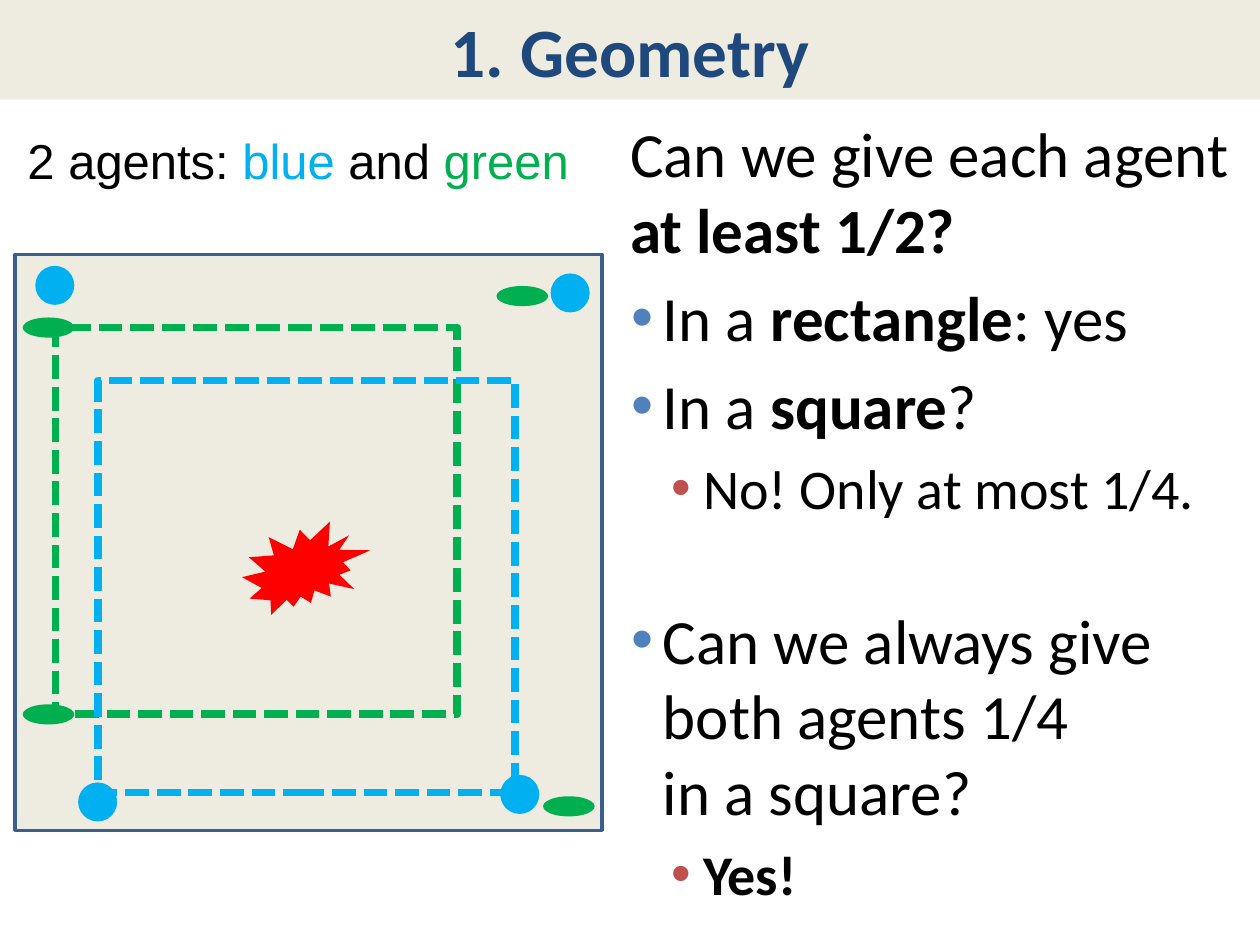
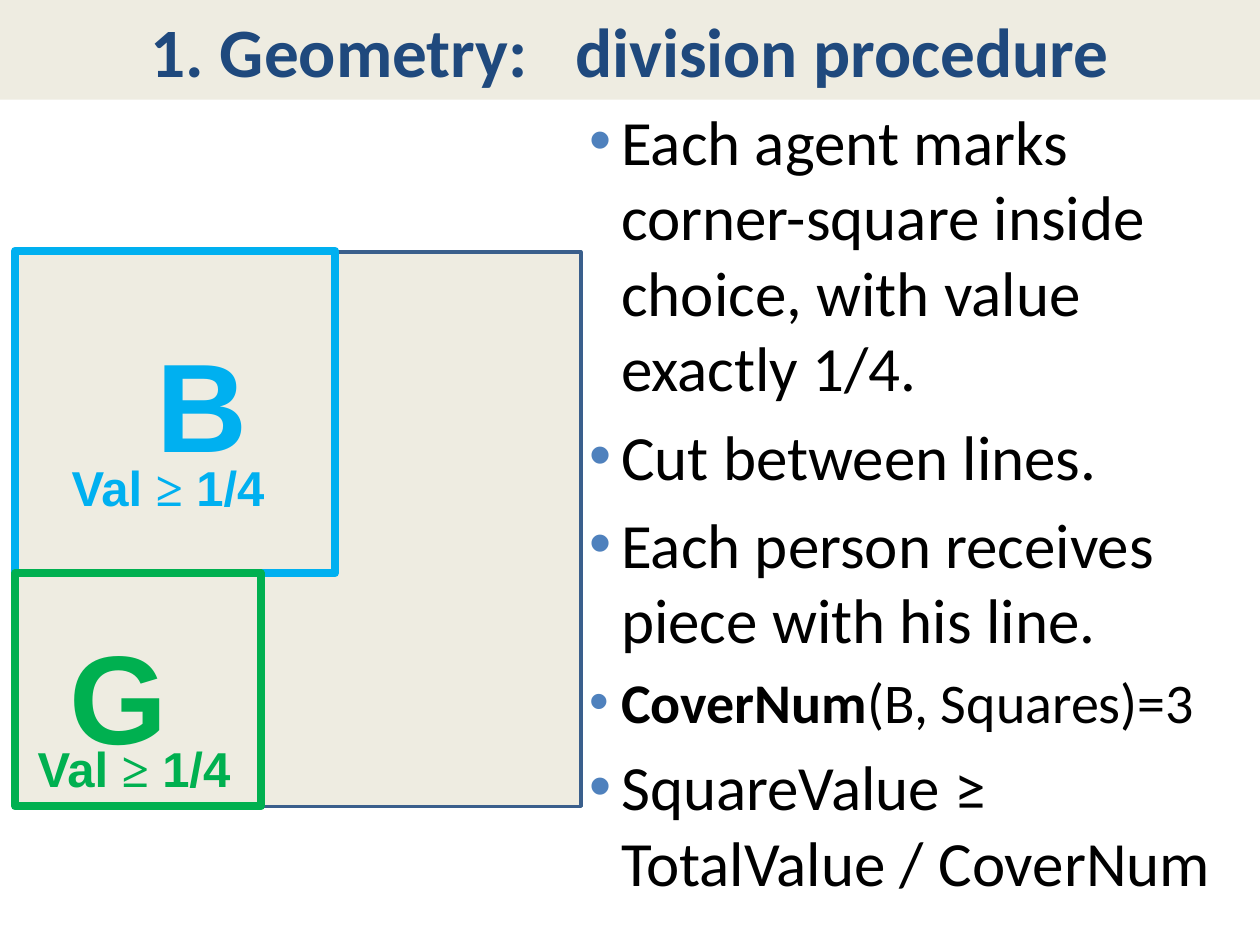
from lxml import etree
from pptx import Presentation
from pptx.dml.color import RGBColor
from pptx.enum import dml, shapes, text
from pptx.oxml import ns
from pptx.util import Inches, Pt

COLORS = {
    "band": "EEECE1",
    "title": "1F497D",
    "outline": "3A5F8C",
    "text": "000000",
    "bullet": "4F81BD",
    "sub_bullet": "C0504D",
    "blue": "00B0F0",
    "green": "00B050",
    "red": "FF0000",
}
BODY_FONT = "Calibri"
LABEL_FONT = "Arial"
SYMBOL_FONT = "Times New Roman"
RECTANGLE = shapes.MSO_SHAPE.RECTANGLE
OVAL = shapes.MSO_SHAPE.OVAL
MARKER_SIZES = {"blue": (0.31, 0.31), "green": (0.41, 0.16)}


def rgb(name):
    return RGBColor.from_string(COLORS[name])


def format_run(run, size, color, font=BODY_FONT, bold=False):
    run.font.size = Pt(size)
    run.font.name = font
    run.font.bold = bold
    run.font.color.rgb = rgb(color)


def place(shape, box):
    shape.left, shape.top, shape.width, shape.height = map(Inches, box)


def add_slide(presentation, *title_parts):
    """Add a slide with the title band; title parts stand a wide gap apart."""
    slide = presentation.slides.add_slide(presentation.slide_layouts[1])
    title = slide.shapes.title
    place(title, (0, 0, 10, 0.79))
    title.fill.solid()
    title.fill.fore_color.rgb = rgb("band")
    frame = title.text_frame
    frame.auto_size = text.MSO_AUTO_SIZE.NONE
    frame.vertical_anchor = text.MSO_ANCHOR.MIDDLE
    paragraph = frame.paragraphs[0]
    paragraph.alignment = text.PP_ALIGN.CENTER
    for index, part in enumerate(title_parts):
        if index:
            gap = paragraph.add_run()
            gap.text = " "
            format_run(gap, 39.6, "title", bold=True)
            gap._r.get_or_add_rPr().set("spc", "1800")
        run = paragraph.add_run()
        run.text = part
        format_run(run, 39.6, "title", bold=True)
    return slide


def set_bullet(paragraph, margin, indent, color=None):
    properties = paragraph._p.get_or_add_pPr()
    properties.set("marL", str(Inches(margin)))
    properties.set("indent", str(Inches(indent)))
    if color is None:
        etree.SubElement(properties, ns.qn("a:buNone"))
        return
    bullet_color = etree.SubElement(properties, ns.qn("a:buClr"))
    etree.SubElement(bullet_color, ns.qn("a:srgbClr"), val=COLORS[color])
    etree.SubElement(properties, ns.qn("a:buChar"), char="•")


def add_marked_text(paragraph, marked, size):
    """Write text in which *stars* enclose bold words and \\n breaks a line."""
    for index, piece in enumerate(marked.split("*")):
        for line_number, line in enumerate(piece.split("\n")):
            if line_number:
                paragraph.add_line_break()
            if line:
                run = paragraph.add_run()
                run.text = line
                format_run(run, size, "text", bold=index % 2 == 1)


def fill_body(slide, box, items):
    """Fill the body with (kind, size, marked text) items."""
    bullets = {
        "plain": (0.12, 0),
        "point": (0.38, -0.25, "bullet"),
        "sub": (0.7, -0.25, "sub_bullet"),
    }
    body = slide.placeholders[1]
    place(body, box)
    frame = body.text_frame
    frame.auto_size = text.MSO_AUTO_SIZE.NONE
    frame.word_wrap = True
    for index, (kind, size, marked) in enumerate(items):
        paragraph = frame.paragraphs[0] if index == 0 else frame.add_paragraph()
        paragraph.level = 1 if kind == "sub" else 0
        set_bullet(paragraph, *bullets[kind])
        if index == 0:
            paragraph.space_before = Pt(0)
        add_marked_text(paragraph, marked, size)
    return frame


def add_figure(slide, kind, box, fill=None, line=None, width=2, dashed=False):
    shape = slide.shapes.add_shape(kind, *map(Inches, box))
    shape.shadow.inherit = False
    if fill:
        shape.fill.solid()
        shape.fill.fore_color.rgb = rgb(fill)
    else:
        shape.fill.background()
    if line:
        shape.line.color.rgb = rgb(line)
        shape.line.width = Pt(width)
        if dashed:
            shape.line.dash_style = dml.MSO_LINE.SQUARE_DOT
    else:
        shape.line.fill.background()


def add_marker(slide, agent, left, top):
    add_figure(slide, OVAL, (left, top, *MARKER_SIZES[agent]), fill=agent)


def add_label(slide, box, pieces, size=28, bold=False, wrap=False):
    """Add a text box of (text, color, font) pieces."""
    frame = slide.shapes.add_textbox(*map(Inches, box)).text_frame
    frame.word_wrap = wrap
    frame.auto_size = text.MSO_AUTO_SIZE.SHAPE_TO_FIT_TEXT
    paragraph = frame.paragraphs[0]
    paragraph.line_spacing = 0.93
    for words, color, font in pieces:
        run = paragraph.add_run()
        run.text = words
        format_run(run, size, color, font, bold)


def add_piece(slide, agent, square, letter_box, value_box):
    """Draw an agent's square with its letter and its value."""
    add_figure(slide, RECTANGLE, square, line=agent, width=4.5)
    add_label(slide, letter_box, [(agent[0].upper(), agent, LABEL_FONT)], 72, True)
    value = [("Val ", agent, LABEL_FONT), ("≥", agent, SYMBOL_FONT),
             (" 1/4", agent, LABEL_FONT)]
    add_label(slide, value_box, value, bold=True, wrap=True)


def build_geometry(presentation):
    slide = add_slide(presentation, "1. Geometry")
    frame = fill_body(slide, (4.78, 0.86, 5.1, 6.52), [
        ("plain", 36, "Can we give each agent *at least 1/2?*"),
        ("point", 36, "In a *rectangle*: yes"),
        ("point", 36, "In a *square*?"),
        ("sub", 32, "No! Only at most 1/4."),
        ("point", 36, "Can we always give both agents 1/4\nin a square?"),
        ("sub", 32, "*Yes!*"),
    ])
    frame.paragraphs[4].space_before = Pt(46)

    add_figure(slide, RECTANGLE, (0.12, 2.02, 4.66, 4.57), "band", "outline")
    for agent, box in (("green", (0.44, 2.6, 3.19, 3.07)),
                       ("blue", (0.78, 3.02, 3.31, 3.27))):
        add_figure(slide, RECTANGLE, box, line=agent, width=4.5, dashed=True)
    add_figure(slide, shapes.MSO_SHAPE.EXPLOSION2, (1.92, 4.14, 1.02, 0.74), "red")
    markers = {
        "blue": [(4.37, 2.17), (0.28, 2.11), (3.97, 6.15), (0.62, 6.21)],
        "green": [(3.94, 2.27), (0.18, 2.52), (4.31, 6.32), (0.18, 5.59)],
    }
    for agent, corners in markers.items():
        for left, top in corners:
            add_marker(slide, agent, left, top)
    add_label(slide, (0.12, 1.03, 4.56, 0.54), [
        ("2 agents: ", "text", LABEL_FONT),
        ("blue", "blue", LABEL_FONT),
        (" and ", "text", LABEL_FONT),
        ("green", "green", LABEL_FONT),
    ])


def build_division(presentation):
    slide = add_slide(presentation, "1. Geometry:", "division procedure")
    fill_body(slide, (4.45, 0.76, 5.55, 6.61), [
        ("point", 36, "Each agent marks corner-square inside choice, "
                      "with value exactly 1/4."),
        ("point", 36, "Cut between lines."),
        ("point", 36, "Each person receives piece with his line."),
        ("point", 32, "*CoverNum*(B, Squares)=3"),
        ("point", 36, "SquareValue ≥\nTotalValue / CoverNum"),
    ])
    add_figure(slide, RECTANGLE, (0.12, 2, 4.49, 4.4), "band", "outline")
    add_piece(slide, "blue", (0.12, 1.99, 2.54, 2.56),
              (1.14, 2.65, 0.93, 1.25), (0.47, 3.62, 1.97, 0.55))
    add_piece(slide, "green", (0.12, 4.55, 1.95, 1.85),
              (0.45, 4.97, 0.99, 1.25), (0.2, 5.85, 1.97, 0.54))


def main():
    presentation = Presentation()
    presentation.slide_width = Inches(10)
    presentation.slide_height = Inches(7.5)
    build_geometry(presentation)
    build_division(presentation)
    presentation.save("out.pptx")


if __name__ == "__main__":
    main()
